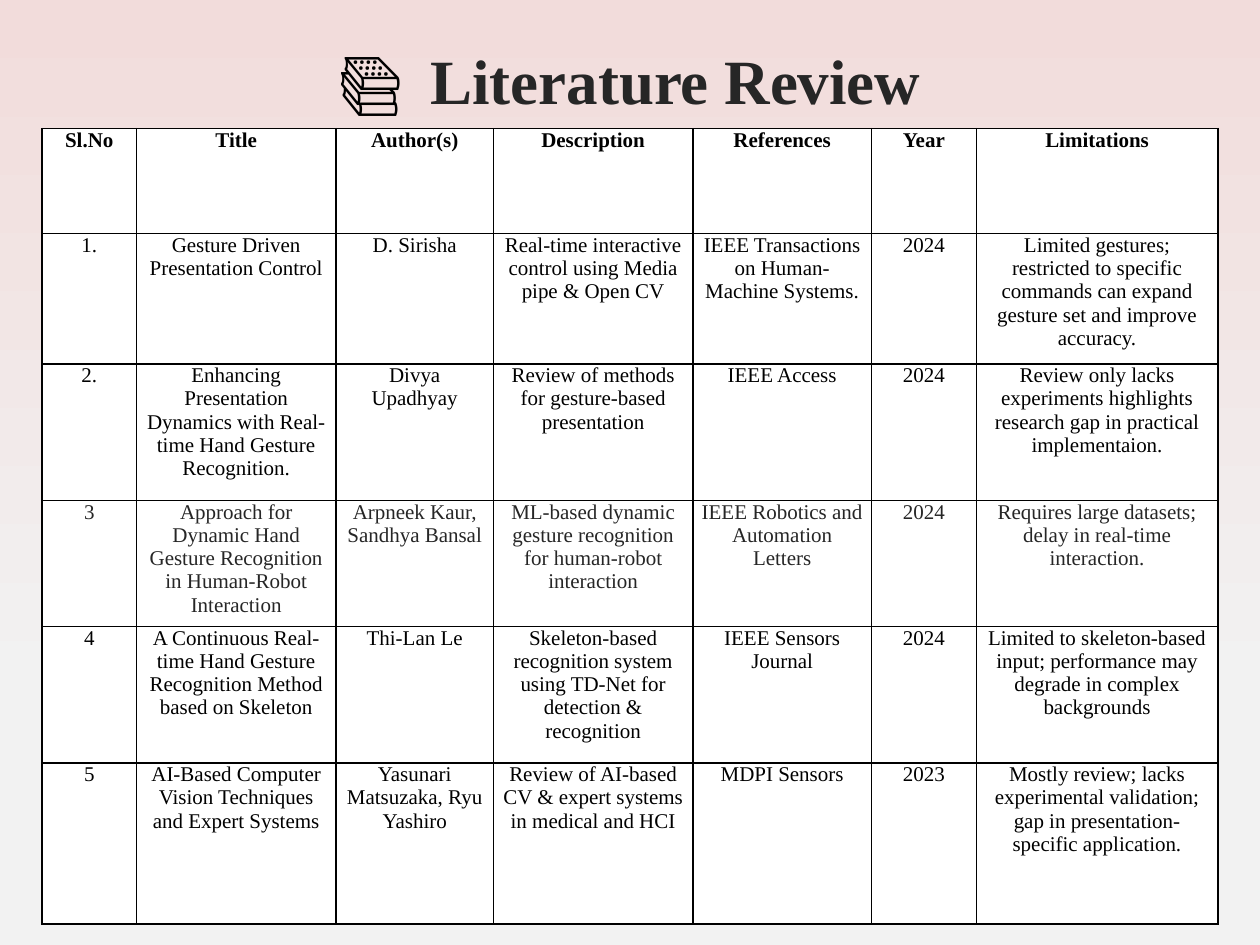
"""Builds the literature review slide: a title above a table of five papers."""
from lxml import etree
from pptx import Presentation
from pptx.dml.color import RGBColor
from pptx.enum.text import MSO_ANCHOR, PP_ALIGN
from pptx.oxml.ns import qn
from pptx.util import Pt

CENTER = PP_ALIGN.CENTER
MIDDLE = MSO_ANCHOR.MIDDLE
TOP = MSO_ANCHOR.TOP
TITLE_ONLY = 5

THEME = {
    "black": "000000",
    "charcoal": "262626",
    "white": "FFFFFF",
    "rose": "F2DCDB",
    "mist": "F2F2F2",
    "serif": "Times New Roman",
    "sans": "Calibri",
    "title_size": 36,
    "cell_size": 12,
    "border": 1,
}

COLUMN_WIDTHS = [54, 114, 90, 114, 102, 60, 138]
ROW_HEIGHTS = [60, 74.5, 78, 72, 78, 92]
CHARCOAL_ROW = 3
PAPERS = [
    ["Sl.No", "Title", "Author(s)", "Description", "References", "Year", "Limitations"],
    ["1.", "Gesture Driven Presentation Control", "D. Sirisha",
     "Real-time interactive control using Media pipe & Open CV",
     "IEEE Transactions on Human-Machine Systems.", "2024",
     "Limited gestures; restricted to specific commands can expand gesture set "
     "and improve accuracy."],
    ["2.", "Enhancing Presentation Dynamics with Real-time Hand Gesture Recognition.",
     "Divya Upadhyay", "Review of methods for gesture-based presentation",
     "IEEE Access", "2024",
     "Review only lacks experiments highlights research gap in practical implementaion."],
    ["3", "Approach for Dynamic Hand Gesture Recognition in Human-Robot Interaction",
     "Arpneek Kaur, Sandhya Bansal",
     "ML-based dynamic gesture recognition for human-robot interaction",
     "IEEE Robotics and Automation Letters", "2024",
     "Requires large datasets; delay in real-time interaction."],
    ["4", "A Continuous Real-time Hand Gesture Recognition Method based on Skeleton",
     "Thi-Lan Le",
     "Skeleton-based recognition system using TD-Net for detection & recognition",
     "IEEE Sensors Journal", "2024",
     "Limited to skeleton-based input; performance may degrade in complex backgrounds"],
    ["5", "AI-Based Computer Vision Techniques and Expert Systems",
     "Yasunari Matsuzaka, Ryu Yashiro",
     "Review of AI-based CV & expert systems in medical and HCI",
     "MDPI Sensors", "2023",
     "Mostly review; lacks experimental validation; gap in presentation-specific "
     "application."],
]


def add_run(paragraph, text, size, face, color, bold=False):
    run = paragraph.add_run()
    run.text = text
    run.font.size = Pt(size)
    run.font.name = face
    run.font.bold = bold
    run.font.color.rgb = RGBColor.from_string(color)
    return run


def add_borders(cell):
    properties = cell._tc.get_or_add_tcPr()
    for side in ("a:lnL", "a:lnR", "a:lnT", "a:lnB"):
        line = etree.SubElement(properties, qn(side), w=str(Pt(THEME["border"])))
        fill = etree.SubElement(line, qn("a:solidFill"))
        etree.SubElement(fill, qn("a:srgbClr"), val=THEME["black"])


deck = Presentation()
deck.slide_width, deck.slide_height = Pt(720), Pt(540)
slide = deck.slides.add_slide(deck.slide_layouts[TITLE_ONLY])

backdrop = slide.background.fill
backdrop.gradient()
backdrop.gradient_angle = 270
for stop, (position, color) in zip(backdrop.gradient_stops, [(0, "rose"), (0.74, "mist")]):
    stop.position = position
    stop.color.rgb = RGBColor.from_string(THEME[color])

heading = slide.shapes.title
heading.left, heading.top, heading.width, heading.height = Pt(36), Pt(12.24), Pt(648), Pt(66.24)
heading.text_frame.vertical_anchor = MIDDLE
heading_line = heading.text_frame.paragraphs[0]
heading_line.alignment = CENTER
books = add_run(heading_line, "📚 ", THEME["title_size"], THEME["sans"], THEME["black"])
books.font._element.set("spc", "400")
add_run(heading_line, "Literature Review", THEME["title_size"], THEME["serif"],
        THEME["charcoal"], bold=True)

review = slide.shapes.add_table(
    len(PAPERS), len(COLUMN_WIDTHS), Pt(24), Pt(73.44),
    Pt(sum(COLUMN_WIDTHS)), Pt(sum(ROW_HEIGHTS))).table
for column, width in zip(review.columns, COLUMN_WIDTHS):
    column.width = Pt(width)
for row, height in zip(review.rows, ROW_HEIGHTS):
    row.height = Pt(height)

for row_index, paper in enumerate(PAPERS):
    ink = THEME["charcoal" if row_index == CHARCOAL_ROW else "black"]
    for column_index, entry in enumerate(paper):
        cell = review.cell(row_index, column_index)
        add_borders(cell)
        cell.fill.solid()
        cell.fill.fore_color.rgb = RGBColor.from_string(THEME["white"])
        cell.margin_left = cell.margin_right = Pt(5)
        cell.margin_top = cell.margin_bottom = Pt(0)
        cell.vertical_anchor = TOP
        entry_line = cell.text_frame.paragraphs[0]
        entry_line.alignment = CENTER
        add_run(entry_line, entry, THEME["cell_size"], THEME["serif"], ink,
                bold=row_index == 0)

deck.save("out.pptx")
